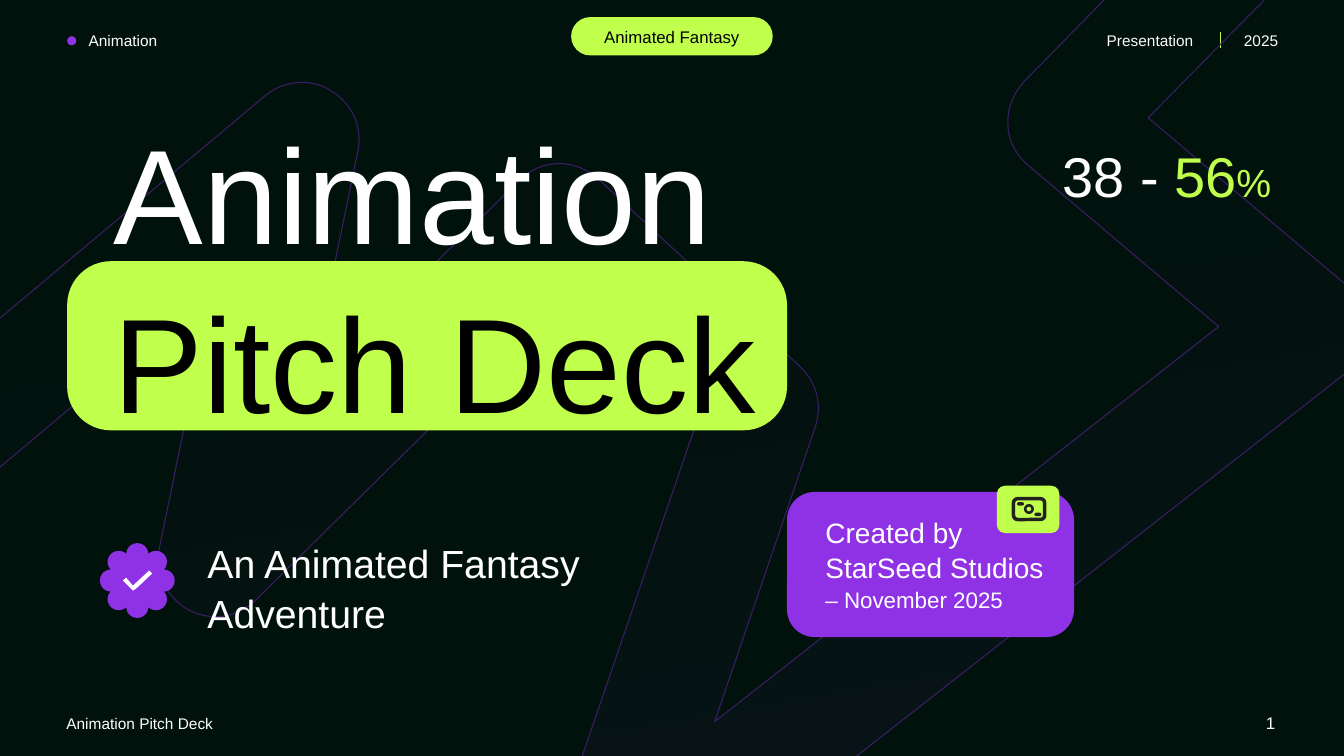
from math import asin, cos, pi, sin, sqrt

from lxml import etree
from pptx import Presentation
from pptx.dml.color import RGBColor
from pptx.enum.shapes import MSO_CONNECTOR as Link, MSO_SHAPE as Preset
from pptx.enum.text import PP_ALIGN as Align
from pptx.oxml.ns import qn
from pptx.util import Pt

COLOURS = {
    "night": "01120C", "lime": "C1FF4D", "violet": "8F32E6", "outline": "3B1D66",
    "white": "FFFFFF", "black": "000000", "ink": "222222",
}
FONT = "Arial"
LINE_SPACING = 1.05

# Text: box (left, top, width, height), alignment, runs (text, size, colour)
HEADER_TEXTS = [
    ((56.2, 18, 92.2, 20.5), Align.LEFT, [("Animation", 11, "white")]),
    ((783.4, 18, 83.5, 20.5), Align.LEFT, [("Presentation", 11, "white")]),
    ((875.5, 18, 44.6, 20.5), Align.RIGHT, [("2025", 11, "white")]),
    ((422, 14.6, 116, 21.7), Align.CENTER, [("Animated Fantasy", 12, "black")]),
]
FOOTER_TEXTS = [
    ((40.3, 506.2, 190.8, 20.5), Align.LEFT, [("Animation Pitch Deck", 11, "white")]),
    ((869, 504.7, 49, 21.7), Align.RIGHT, [("1", 12, "white")]),
]
MAIN_TEXTS = [
    ((74.2, 69.2, 493.9, 239.6), Align.LEFT,
     [("Animation", 96, "white"), (" Pitch Deck", 96, "black")]),
    ((141.1, 380.2, 294.5, 74.8), Align.LEFT,
     [("An Animated Fantasy Adventure", 28, "white")]),
    ((712.1, 95, 203, 55.5), Align.RIGHT,
     [("38 - ", 40, "white"), ("56", 40, "lime"), ("%", 28, "lime")]),
    ((582.5, 363.6, 176.4, 74.8), Align.LEFT,
     [("Created by StarSeed Studios ", 20, "white"), ("– November 2025", 16, "white")]),
]

# Ribbon: two numbers make a straight side, six make a Bézier curve
RIBBON = [
    (799.2, -10.8), (913.7, -10.8), (820.1, 84.2), (961.9, 203.8),
    (971.3, 211.7, 976.3, 223.9, 976.3, 236.2),
    (975.6, 248.4, 969.8, 259.9, 960.5, 267.1), (452.9, 664.6),
    (445, 670.3, 436.3, 673.2, 427.7, 673.2),
    (419, 673.2, 411.1, 670.3, 403.9, 665.3),
    (389.5, 655.2, 383, 636.5, 388.8, 619.2),
    (496.8, 303.8), (400.3, 213.8), (182.9, 428.4),
    (169.9, 441.4, 150.5, 444.2, 134.6, 435.6),
    (118.8, 427, 110.2, 409, 113.8, 391.7),
    (151.9, 205.9), (-15.8, 347), (-15.8, 240.5), (189.4, 68.4),
    (202.3, 57.6, 221.8, 55.4, 236.2, 64.8),
    (251.3, 73.4, 259.2, 90.7, 255.6, 108), (221, 276.5), (370.8, 128.9),
    (386.6, 113, 411.1, 113, 427.7, 128.2), (571.7, 262.1),
    (583.2, 272.9, 587.5, 289.4, 582.5, 304.6),
    (510.5, 515.5), (870.5, 233.3), (734.4, 118.1),
    (725.8, 110.9, 720, 100.1, 720, 89.3),
    (719.3, 77.8, 723.6, 67, 731.5, 58.3),
]
CURVE_STEPS = 16

# Badge: ring of petals with a tick
BADGE_CENTRE = (98.1, 414.7)
PETALS, PETAL_ORBIT, PETAL_RADIUS, PETAL_STEPS = 8, 18.8, 7.9, 14
TICK = [(106.6, 407.5), (95, 418.3), (90, 412.6), (87.8, 414.7),
        (95, 421.9), (97.2, 420.5), (108.7, 409.7)]

prs = Presentation()
prs.slide_width, prs.slide_height = Pt(960), Pt(540)
slide = prs.slides.add_slide(prs.slide_layouts[6])
shapes = slide.shapes


def rgb(name):
    return RGBColor.from_string(COLOURS[name])


def paint(shape, fill=None, line=None, width=0.75):
    shape.shadow.inherit = False
    if fill:
        shape.fill.solid()
        shape.fill.fore_color.rgb = rgb(fill)
    else:
        shape.fill.background()
    if line:
        shape.line.color.rgb = rgb(line)
        shape.line.width = Pt(width)
    else:
        shape.line.fill.background()


def add_preset(preset, box, fill=None, corner=None, **line):
    shape = shapes.add_shape(preset, *map(Pt, box))
    if corner is not None:
        shape.adjustments[0] = corner
    paint(shape, fill, **line)
    return shape


def add_outline(points, **look):
    start, *rest = [(Pt(x), Pt(y)) for x, y in points]
    builder = shapes.build_freeform(*start)
    builder.add_line_segments(rest, close=True)
    shape = builder.convert_to_shape()
    paint(shape, **look)
    return shape


def add_texts(texts):
    for box, align, runs in texts:
        frame = shapes.add_textbox(*map(Pt, box)).text_frame
        frame.word_wrap = True
        paragraph = frame.paragraphs[0]
        paragraph.alignment = align
        paragraph.line_spacing = LINE_SPACING
        for text, size, colour in runs:
            run = paragraph.add_run()
            run.text = text
            run.font.name, run.font.size = FONT, Pt(size)
            run.font.color.rgb = rgb(colour)


def flatten(path):
    points = []
    for step in path:
        if len(step) == 2:
            points.append(step)
            continue
        corners = [points[-1], step[:2], step[2:4], step[4:]]
        for i in range(1, CURVE_STEPS + 1):
            t = i / CURVE_STEPS
            weights = ((1 - t) ** 3, 3 * t * (1 - t) ** 2, 3 * t * t * (1 - t), t ** 3)
            points.append(tuple(sum(w * c[axis] for w, c in zip(weights, corners))
                                for axis in (0, 1)))
    return points


def petal_outline():
    half = pi / PETALS
    # Equal steps round each petal, measured at the petal's own centre
    reach = half + asin(PETAL_ORBIT * sin(half) / PETAL_RADIUS)
    reach = min(reach, pi - 0.01)
    valley = PETAL_ORBIT * cos(half) + sqrt(
        PETAL_RADIUS ** 2 - (PETAL_ORBIT * sin(half)) ** 2)
    reach = pi / 2 - asin((valley * cos(half) - PETAL_ORBIT) / PETAL_RADIUS)
    for petal in range(PETALS):
        axis = 2 * half * petal
        for i in range(PETAL_STEPS):
            turn = axis + reach * (2 * i / PETAL_STEPS - 1)
            yield tuple(c + PETAL_ORBIT * f(axis) + PETAL_RADIUS * f(turn)
                        for c, f in zip(BADGE_CENTRE, (cos, sin)))


# Background and header
slide.background.fill.solid()
slide.background.fill.fore_color.rgb = rgb("night")
add_preset(Preset.OVAL, (48, 25.9, 6.5, 6.5), "violet")
divider = shapes.add_connector(Link.STRAIGHT, Pt(871.9), Pt(23), Pt(871.9), Pt(34.6))
divider.line.color.rgb = rgb("lime")
divider.line.width = Pt(1)
etree.SubElement(divider._element.spPr, qn("a:effectLst"))
add_preset(Preset.ROUNDED_RECTANGLE, (408, 12.2, 144, 27.4), "lime", 0.5)
add_texts(HEADER_TEXTS + FOOTER_TEXTS)

# Ribbon with a faint gradient
ribbon = add_outline(flatten(RIBBON), line="outline")
ribbon.fill.gradient()
ribbon.fill.gradient_angle = 280
for stop, colour, opacity in zip(ribbon.fill.gradient_stops, ("night", "violet"), (0, 9)):
    stop.color.rgb = rgb(colour)
for tint, opacity in zip(ribbon._element.spPr.find(qn("a:gradFill")).iter(qn("a:srgbClr")), (0, 9)):
    etree.SubElement(tint, qn("a:alpha")).set("val", str(opacity * 1000))

# Title panel, credit card and main texts
add_preset(Preset.ROUNDED_RECTANGLE, (48, 186.6, 514.2, 120.8), "lime", 0.259)
add_preset(Preset.ROUNDED_RECTANGLE, (562.2, 351.4, 205, 103.7), "violet", 0.191)
add_texts(MAIN_TEXTS)

# Badge
add_outline(petal_outline(), fill="violet")
add_outline(TICK, fill="white")

# Banknote icon
add_preset(Preset.ROUNDED_RECTANGLE, (712.1, 347, 44.6, 33.8), "lime", 0.167)
add_preset(Preset.ROUNDED_RECTANGLE, (723.9, 356.2, 22.3, 14.9), None, 0.2,
           line="ink", width=2.5)
for left, top in ((726.5, 358.7), (738.9, 366.2)):
    add_preset(Preset.ROUNDED_RECTANGLE, (left, top, 4.9, 2.4), "ink", 0.5)
add_preset(Preset.DONUT, (731.4, 360, 7.2, 7.2), "ink", 0.26)

prs.save("out.pptx")
